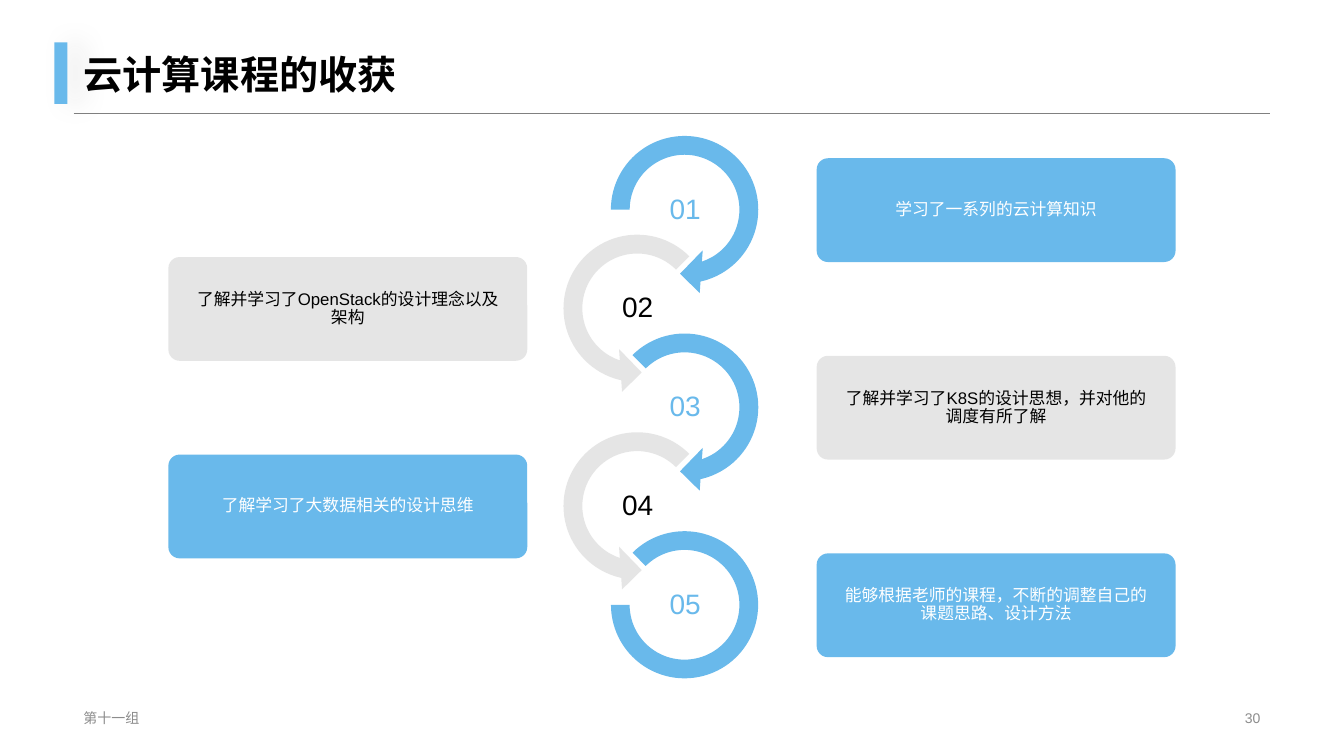
from dataclasses import dataclass

import pptx
import pptx.dml.color
import pptx.enum.shapes
import pptx.enum.text
import pptx.oxml
import pptx.oxml.ns
import pptx.util
from pptx.util import Inches

SHAPE = pptx.enum.shapes.MSO_SHAPE
ALIGN = pptx.enum.text.PP_ALIGN
ANCHOR = pptx.enum.text.MSO_ANCHOR


@dataclass(frozen=True)
class Theme:
    font: str = "Arial"
    blue: str = "69B9EB"
    gray: str = "808080"
    gray_opacity: int = 20
    black: str = "000000"
    white: str = "FFFFFF"
    footer: str = "8C8C8C"
    shadow: str = "262626"
    title_size: int = 28
    number_size: int = 20
    card_size: int = 12
    footer_size: int = 10


@dataclass(frozen=True)
class Area:
    left: float
    top: float
    width: float
    height: float

    def lengths(self) -> tuple:
        return tuple(Inches(n) for n in (self.left, self.top, self.width, self.height))


@dataclass(frozen=True)
class Ring:
    kind: int
    adjustments: tuple
    size: float = 1.7
    inset: float = 0


@dataclass(frozen=True)
class Lesson:
    text: str
    blue_card: bool
    ring: Ring


THEME = Theme()
STEP = 0.98
LEFT_RING = Ring(SHAPE.LEFT_CIRCULAR_ARROW, (0.11, 11.423, 63, 189, 0.125))
LESSONS = (
    Lesson("学习了一系列的云计算知识", True,
           Ring(SHAPE.CIRCULAR_ARROW, (0.11, 11.423, 45, 108, 0.125))),
    Lesson("了解并学习了OpenStack的设计理念以及架构", False, LEFT_RING),
    Lesson("了解并学习了K8S的设计思想，并对他的调度有所了解", False,
           Ring(SHAPE.CIRCULAR_ARROW, (0.11, 11.423, 45, 135, 0.125))),
    Lesson("了解学习了大数据相关的设计思维", True, LEFT_RING),
    Lesson("能够根据老师的课程，不断的调整自己的课题思路、设计方法", True,
           Ring(SHAPE.BLOCK_ARC, (135, 108, 0.127), 1.46, 0.12)),
)


def rgb(color: str) -> pptx.dml.color.RGBColor:
    return pptx.dml.color.RGBColor.from_string(color)


def write(box, text: str, *, size: int, color: str, bold: bool = False,
          align=ALIGN.LEFT, anchor=ANCHOR.MIDDLE, line_spacing: float = 0.9,
          margins: tuple = (0.1, 0.05)) -> None:
    """Fill a shape with one paragraph; margins are horizontal, vertical inches."""
    frame = box.text_frame
    frame.word_wrap = True
    frame.vertical_anchor = anchor
    frame.margin_left = frame.margin_right = Inches(margins[0])
    frame.margin_top = frame.margin_bottom = Inches(margins[1])
    para = frame.paragraphs[0]
    para.alignment = align
    para.line_spacing = line_spacing
    span = para.add_run()
    span.text = text
    span.font.name = THEME.font
    span.font.size = pptx.util.Pt(size)
    span.font.bold = bold
    span.font.color.rgb = rgb(color)


def add_text(page, area: Area, text: str, **text_format) -> None:
    write(page.shapes.add_textbox(*area.lengths()), text, **text_format)


def add_solid(page, kind: int, area: Area, blue: bool, adjustments: tuple = ()):
    """Add a borderless shape, solid blue or translucent gray."""
    shape = page.shapes.add_shape(kind, *area.lengths())
    for index, value in enumerate(adjustments):
        shape.adjustments[index] = value
    shape.fill.solid()
    shape.fill.fore_color.rgb = rgb(THEME.blue if blue else THEME.gray)
    if not blue:
        color = shape._element.spPr.find(".//" + pptx.oxml.ns.qn("a:srgbClr"))
        color.append(pptx.oxml.parse_xml(
            f'<a:alpha {pptx.oxml.ns.nsdecls("a")} val="{THEME.gray_opacity * 1000}"/>'))
    shape.line.fill.background()
    shape.shadow.inherit = False
    return shape


def add_header(page) -> None:
    rule = page.shapes.add_connector(
        pptx.enum.shapes.MSO_CONNECTOR.STRAIGHT,
        Inches(0.73), Inches(1.12), Inches(12.6), Inches(1.12))
    rule.line.color.rgb = rgb(THEME.gray)
    rule.line.width = pptx.util.Pt(0.25)
    namespace = pptx.oxml.ns.nsdecls("a")
    rule._element.spPr.append(pptx.oxml.parse_xml(f"<a:effectLst {namespace}/>"))

    bar = add_solid(page, SHAPE.RECTANGLE, Area(0.54, 0.42, 0.13, 0.61), True)
    effects = bar._element.spPr.find(pptx.oxml.ns.qn("a:effectLst"))
    effects.append(pptx.oxml.parse_xml(
        f'<a:outerShdw {namespace} blurRad="{pptx.util.Pt(20)}" '
        f'dist="{pptx.util.Pt(10)}" dir="0" algn="ctr" rotWithShape="0">'
        f'<a:srgbClr val="{THEME.shadow}"><a:alpha val="10000"/></a:srgbClr>'
        '</a:outerShdw>'))
    add_text(page, Area(0.73, -0.1, 11.87, 1.12), "云计算课程的收获",
             size=THEME.title_size, color=THEME.black, bold=True, anchor=ANCHOR.BOTTOM)


def add_footer(page) -> None:
    style = {"size": THEME.footer_size, "color": THEME.footer, "line_spacing": 1.0}
    add_text(page, Area(0.73, 7.01, 4.53, 0.23), "第十一组", **style)
    add_text(page, Area(9.42, 7.01, 3.18, 0.23), "30", align=ALIGN.RIGHT, **style)


def add_lesson(page, index: int, lesson: Lesson) -> None:
    on_right = index % 2 == 0
    offset = index * STEP
    card = add_solid(page, SHAPE.ROUNDED_RECTANGLE,
                     Area(8.1 if on_right else 1.67, 1.57 + offset, 3.56, 1.03),
                     lesson.blue_card, (0.109,))
    write(card, lesson.text, size=THEME.card_size, align=ALIGN.CENTER,
          color=THEME.white if lesson.blue_card else THEME.black, margins=(0.2, 0.08))

    ring = lesson.ring
    ring_left = 5.94 if on_right else 5.47
    add_solid(page, ring.kind,
              Area(ring_left + ring.inset, 1.23 + offset + ring.inset, ring.size, ring.size),
              on_right, ring.adjustments)
    add_text(page, Area(ring_left + 0.38, 1.85 + offset, 0.95, 0.47), f"{index + 1:02}",
             size=THEME.number_size, color=THEME.blue if on_right else THEME.black,
             align=ALIGN.CENTER, margins=(0.01, 0.01))


def main() -> None:
    deck = pptx.Presentation()
    deck.slide_width, deck.slide_height = Inches(13.33), Inches(7.5)
    page = deck.slides.add_slide(deck.slide_layouts[6])
    add_header(page)
    add_footer(page)
    for index, lesson in enumerate(LESSONS):
        add_lesson(page, index, lesson)
    deck.save("out.pptx")


if __name__ == "__main__":
    main()
